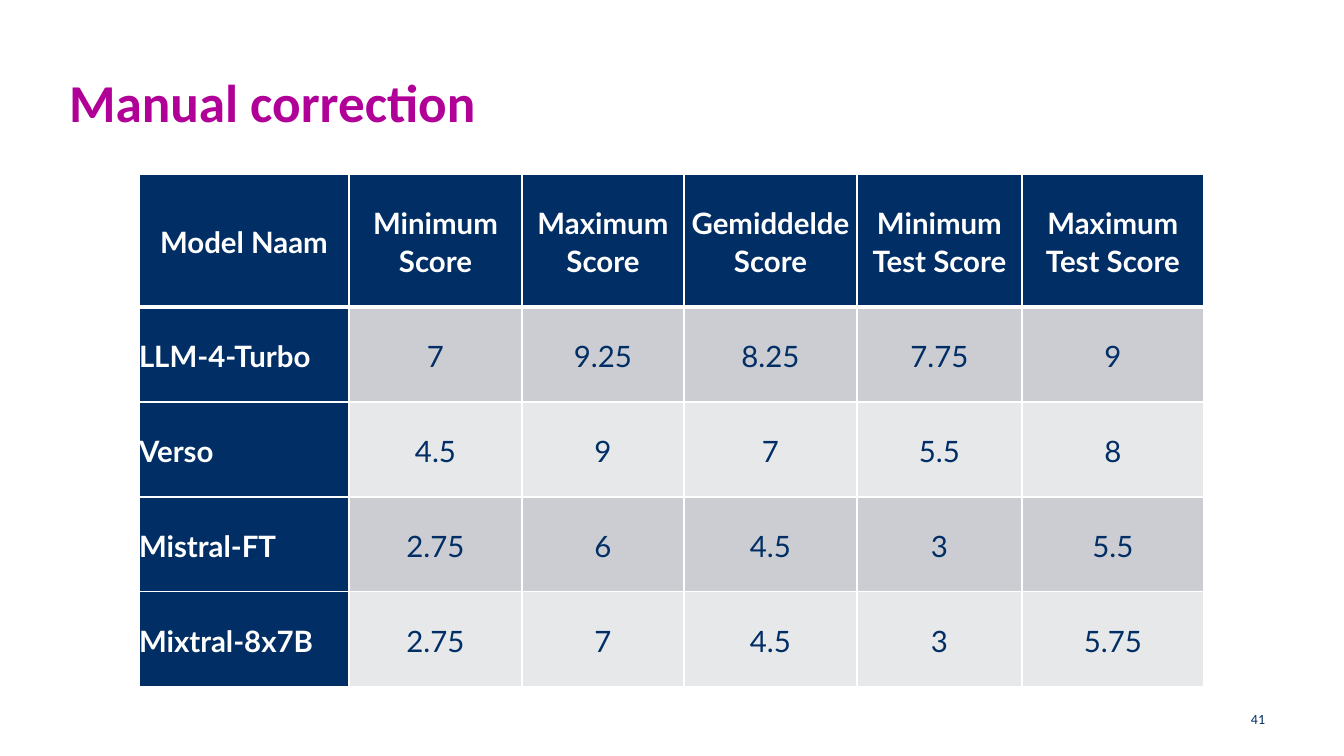
from lxml import etree
from pptx import Presentation, util as u
from pptx.dml.color import RGBColor
from pptx.enum import text
from pptx.oxml.ns import qn

# Content
TITLE = "Manual correction"
PAGE_NUMBER = "41"
HEADERS = ["Model Naam", "Minimum Score", "Maximum Score",
           "Gemiddelde Score", "Minimum Test Score", "Maximum Test Score"]
SCORES = [
    ("LLM-4-Turbo", "7", "9.25", "8.25", "7.75", "9"),
    ("Verso", "4.5", "9", "7", "5.5", "8"),
    ("Mistral-FT", "2.75", "6", "4.5", "3", "5.5"),
    ("Mixtral-8x7B", "2.75", "7", "4.5", "3", "5.75"),
]

# Layout in px and colours
COLUMN_WIDTHS = [210, 173, 162, 173, 165, 182]
HEADER_HEIGHT, ROW_HEIGHT = 133, 95
CELL_PADDING = 25
NAVY, MAGENTA, WHITE = "002E65", "B10097", "FFFFFF"
BANDS = ["CCCDD3", "E7E8EA"]
ALIGN = text.PP_ALIGN


def px(length):
    return u.Emu(round(length * 914400 / 100.8))


def colour(value):
    return RGBColor.from_string(value)


def write(frame, content, size, font, color, bold=False, align=ALIGN.LEFT,
          after=0, spacing=1.0):
    frame.word_wrap = True
    paragraph = frame.paragraphs[0]
    paragraph.alignment = align
    paragraph.space_before, paragraph.space_after = u.Pt(0), u.Pt(after)
    paragraph.line_spacing = spacing
    run = paragraph.add_run()
    run.text = content
    run.font.size, run.font.name, run.font.bold = u.Pt(size), font, bold
    run.font.color.rgb = colour(color)


def add_border(cell, side, points):
    line = etree.SubElement(cell._tc.get_or_add_tcPr(), qn(f"a:ln{side}"),
                            w=str(u.Pt(points)))
    fill = etree.SubElement(line, qn("a:solidFill"))
    etree.SubElement(fill, qn("a:srgbClr"), val=WHITE)


def fill_cell(cell, row, column, content):
    is_header, is_name = row == 0, column == 0
    dark = is_header or is_name
    for side in "LRTB":
        thick = (side == "B" and row == 0) or (side == "T" and row == 1)
        add_border(cell, side, 3 if thick else 1)
    cell.fill.solid()
    cell.fill.fore_color.rgb = colour(NAVY if dark else BANDS[(row - 1) % 2])
    cell.margin_left = cell.margin_right = 0
    cell.margin_top = cell.margin_bottom = px(CELL_PADDING)
    cell.vertical_anchor = text.MSO_ANCHOR.MIDDLE
    write(cell.text_frame, content, 21, "Lato", WHITE if dark else NAVY, bold=dark,
          align=ALIGN.LEFT if is_name and not is_header else ALIGN.CENTER,
          after=16, spacing=1.07)


def main():
    presentation = Presentation()
    presentation.slide_width, presentation.slide_height = px(1344), px(756)
    slide = presentation.slides.add_slide(presentation.slide_layouts[5])

    # Title
    title = slide.shapes.title
    title.left, title.top, title.width, title.height = map(px, (69, 69, 1207, 88))
    frame = title.text_frame
    frame.margin_left = frame.margin_top = frame.margin_right = frame.margin_bottom = 0
    frame.vertical_anchor = text.MSO_ANCHOR.TOP
    frame.auto_size = text.MSO_AUTO_SIZE.NONE
    write(frame, TITLE, 38, "Calibri", MAGENTA, bold=True)

    # Page number
    number = slide.shapes.add_textbox(*map(px, (984, 699, 291, 40)))
    number.text_frame.vertical_anchor = text.MSO_ANCHOR.MIDDLE
    write(number.text_frame, PAGE_NUMBER, 10, "Calibri", NAVY, align=ALIGN.RIGHT, after=6)

    # Score table
    rows = [HEADERS, *SCORES]
    heights = [HEADER_HEIGHT] + [ROW_HEIGHT] * len(SCORES)
    table = slide.shapes.add_table(
        len(rows), len(HEADERS), px(139), px(174),
        px(sum(COLUMN_WIDTHS)), px(sum(heights))).table
    for column, width in zip(table.columns, COLUMN_WIDTHS):
        column.width = px(width)
    for row, height in zip(table.rows, heights):
        row.height = px(height)
    for r, values in enumerate(rows):
        for c, value in enumerate(values):
            fill_cell(table.cell(r, c), r, c, value)

    presentation.save("out.pptx")


if __name__ == "__main__":
    main()
